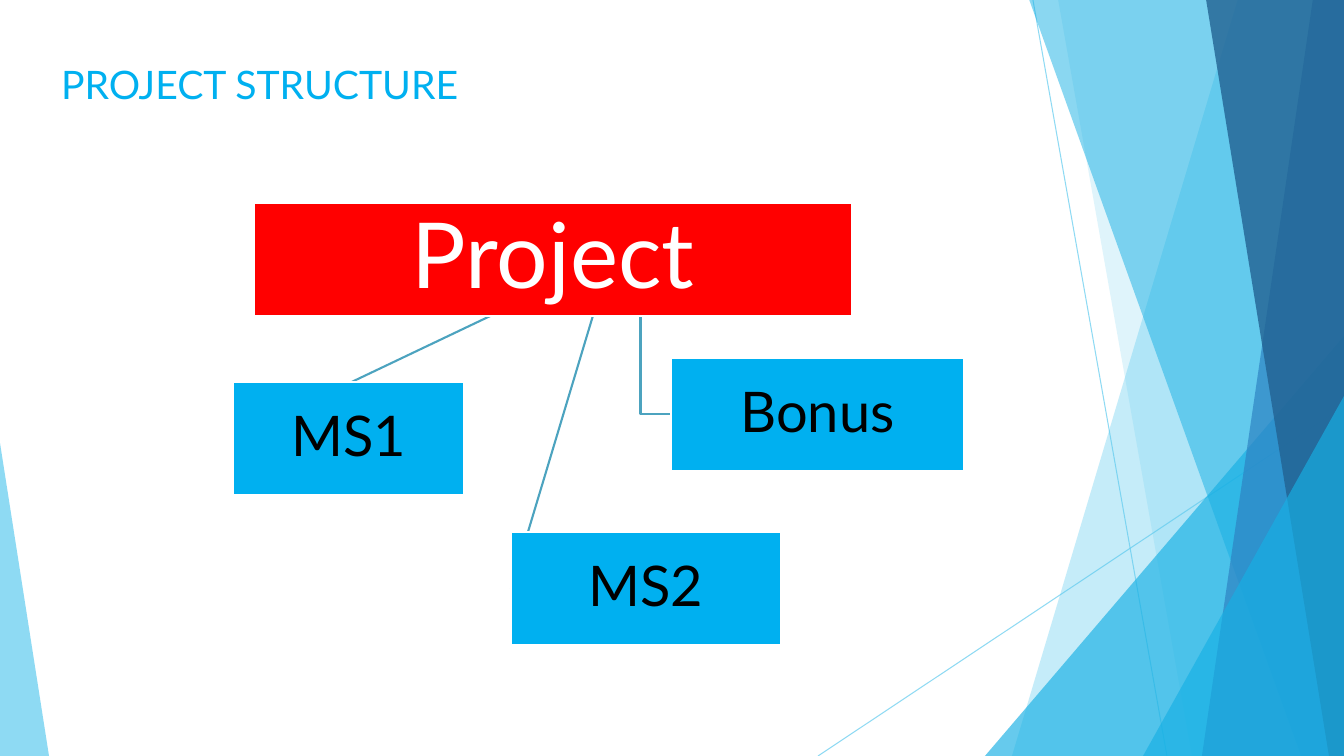
from dataclasses import dataclass

from lxml.etree import SubElement
from pptx import Presentation
from pptx.dml.color import RGBColor
from pptx.enum.shapes import MSO_CONNECTOR as Link, MSO_SHAPE as Shape
from pptx.enum.text import MSO_ANCHOR as Anchor, MSO_AUTO_SIZE as AutoSize, PP_ALIGN as Align
from pptx.oxml.ns import qn
from pptx.util import Pt


@dataclass(frozen=True)
class Theme:
    font: str = "Lato"
    white: str = "FFFFFF"
    black: str = "000000"
    root: str = "FF0000"
    accent: str = "00B0F0"
    link: str = "4CA3BF"
    pale: str = "5FCBEF"
    cyan: str = "17B0E4"
    blue: str = "2E83C3"
    navy: str = "226292"
    title_size: int = 28
    root_size: int = 65
    child_size: int = 40
    hairline: float = 0.75
    outline: float = 1.5


THEME = Theme()
WIDTH, HEIGHT = 1344, 756
SCALE = 914400 / 100.8

TITLE = "PROJECT STRUCTURE"
TITLE_BOX = (51, 55, 653, 57)

ROOT = ("Project", (254, 203, 598, 113))
BOX_HEIGHT = 113
# label, left, top, width, link from the root
CHILDREN = [
    ("MS2", 511, 532, 270, Link.STRAIGHT),
    ("Bonus", 671, 358, 293, Link.ELBOW),
    ("MS1", 233, 382, 231, Link.STRAIGHT),
]
LINK_START = (610, 259)

# from x, from y, to x, to y
HAIRLINES = [(1033, 0, 1167, HEIGHT), (WIDTH, 406, 818, HEIGHT)]
# panel: x of the slanted edge at top and bottom; triangle: box, apex position
DECOR = [
    ("panel", (1238, 1012), THEME.pale, 36),
    ("panel", (1058, 1192), THEME.pale, 20),
    ("triangle", (985, 336, 359, 420, 1), THEME.cyan, 66),
    ("panel", (1029, 1301), THEME.cyan, 50),
    ("panel", (1313, 1202), THEME.blue, 70),
    ("panel", (1206, 1329), THEME.navy, 80),
    ("triangle", (1143, 396, 201, 360, 1), THEME.cyan, 66),
    ("triangle", (0, 443, 49, 313, 0), THEME.pale, 70),
]


def emu(*lengths):
    return [round(length * SCALE) for length in lengths]


def paint(color_format, color, opacity=100):
    color_format.rgb = RGBColor.from_string(color)
    if opacity < 100:
        choice = color_format._xFill.find(qn("a:srgbClr"))
        SubElement(choice, qn("a:alpha"), val=str(opacity * 1000))


def fill_shape(shape, color, opacity=100, outline=None):
    shape.shadow.inherit = False
    shape.fill.solid()
    paint(shape.fill.fore_color, color, opacity)
    if outline:
        paint(shape.line.color, outline)
        shape.line.width = Pt(THEME.outline)
    else:
        shape.line.fill.background()


def write(shape, text, *, size, color, align=Align.LEFT, anchor=Anchor.TOP,
          inset=None, spacing=None):
    frame = shape.text_frame
    frame.word_wrap = True
    frame.vertical_anchor = anchor
    if inset is not None:
        frame.margin_left = frame.margin_right = inset
        frame.margin_top = frame.margin_bottom = inset
    frame.text = text
    paragraph = frame.paragraphs[0]
    paragraph.alignment = align
    if spacing:
        paragraph.line_spacing = spacing
    font = paragraph.runs[0].font
    font.name, font.size = THEME.font, Pt(size)
    paint(font.color, color)


def add_line(shapes, kind, ends, color, width, opacity=100):
    line = shapes.add_connector(kind, *emu(*ends))
    line.line.width = Pt(width)
    line.line.fill.solid()
    paint(line.line.fill.fore_color, color, opacity)
    SubElement(line._element.spPr, qn("a:effectLst"))
    return line


def add_box(shapes, label, box, fill, size, color, inset):
    rectangle = shapes.add_shape(Shape.RECTANGLE, *emu(*box))
    fill_shape(rectangle, fill, outline=THEME.white)
    write(rectangle, label, size=size, color=color, align=Align.CENTER,
          anchor=Anchor.MIDDLE, inset=emu(inset)[0], spacing=0.9)
    return rectangle


def add_decor(shapes):
    for ends in HAIRLINES:
        add_line(shapes, Link.STRAIGHT, ends, THEME.pale, THEME.hairline, 70)
    for kind, geometry, color, opacity in DECOR:
        if kind == "panel":
            top_x, bottom_x = geometry
            outline = shapes.build_freeform(top_x, -1, SCALE)
            outline.add_line_segments([(WIDTH, -1), (WIDTH, HEIGHT), (bottom_x, HEIGHT)])
            part = outline.convert_to_shape()
        else:
            *box, apex = geometry
            part = shapes.add_shape(Shape.ISOSCELES_TRIANGLE, *emu(*box))
            part.adjustments[0] = apex
        fill_shape(part, color, opacity)


def add_structure(shapes):
    links = []
    for _, left, top, _, kind in CHILDREN:
        ends = (*LINK_START, left, top + BOX_HEIGHT / 2)
        links.append(add_line(shapes, kind, ends, THEME.link, THEME.outline))
    add_box(shapes, *ROOT, THEME.root, THEME.root_size, THEME.white, 5)
    for link, (label, left, top, width, _) in zip(links, CHILDREN):
        child = add_box(shapes, label, (left, top, width, BOX_HEIGHT),
                        THEME.accent, THEME.child_size, THEME.black, 3)
        link.end_connect(child, 1)


def main():
    deck = Presentation()
    deck.slide_width, deck.slide_height = emu(WIDTH, HEIGHT)
    slide = deck.slides.add_slide(deck.slide_layouts[5])
    add_decor(slide.shapes)
    title = slide.shapes.title
    title.left, title.top, title.width, title.height = emu(*TITLE_BOX)
    write(title, TITLE, size=THEME.title_size, color=THEME.accent)
    title.text_frame.auto_size = AutoSize.SHAPE_TO_FIT_TEXT
    add_structure(slide.shapes)
    deck.save("out.pptx")


if __name__ == "__main__":
    main()
